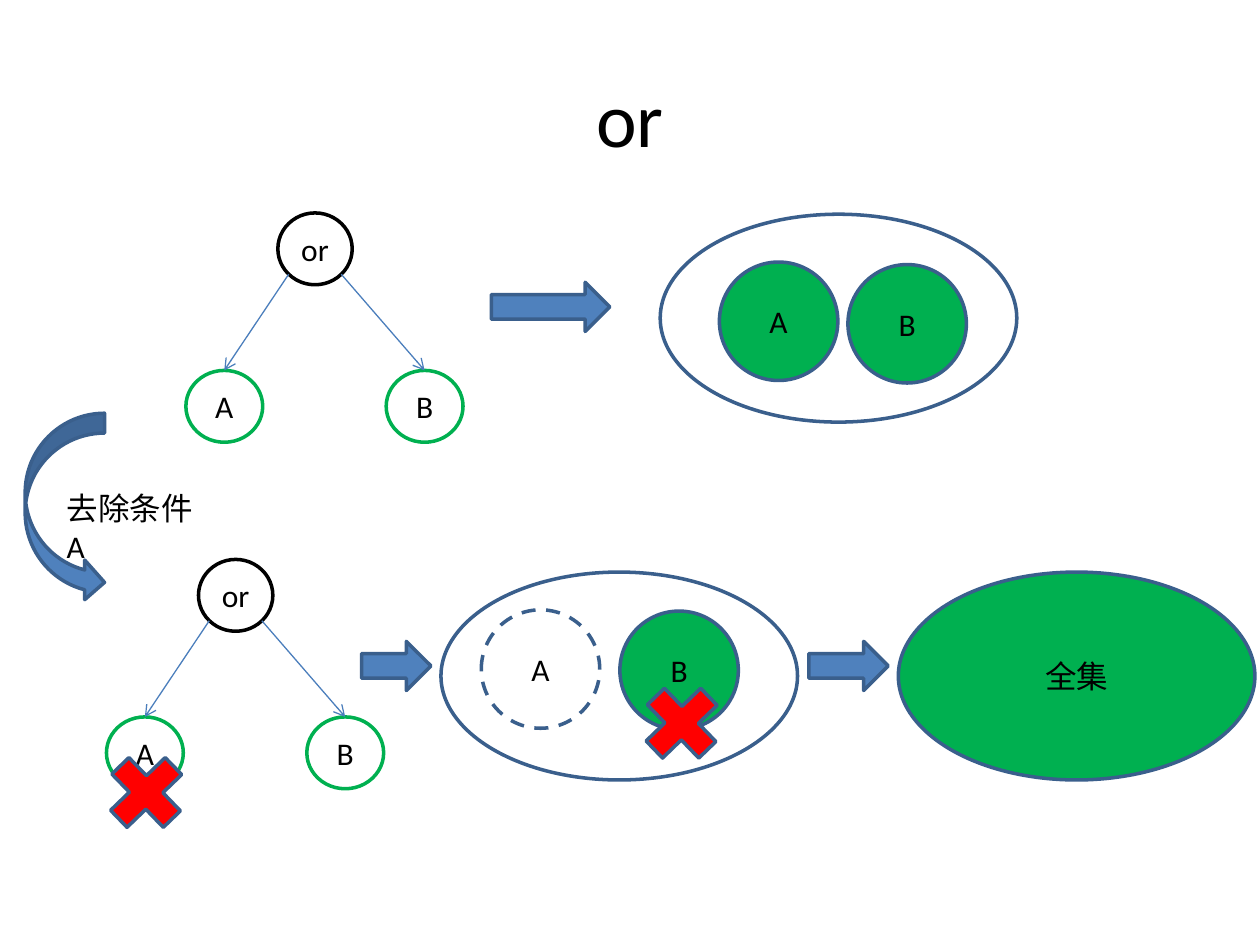
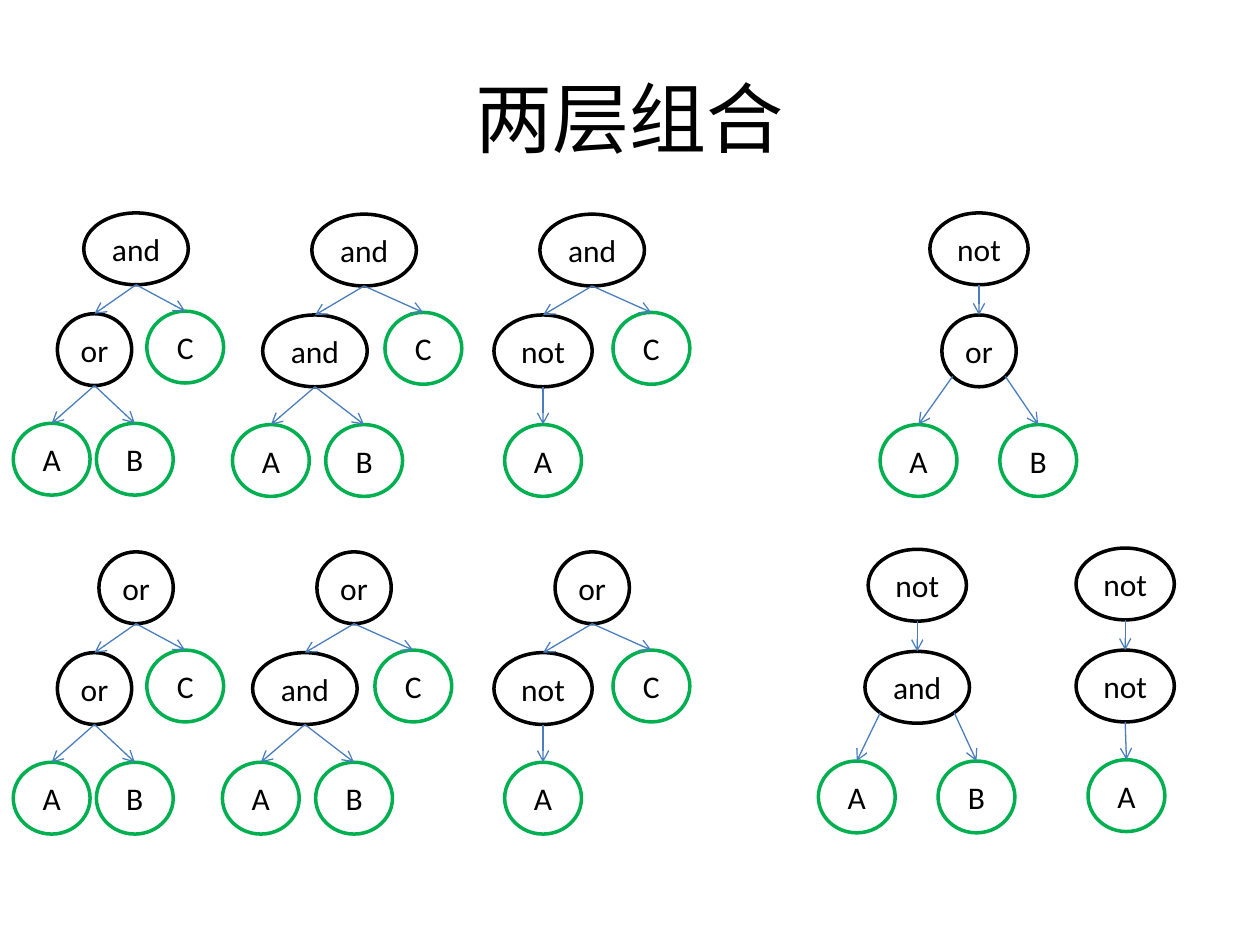
from dataclasses import dataclass
from math import sqrt
from typing import Optional

from lxml.etree import SubElement
from pptx import Presentation
from pptx.dml.color import RGBColor
from pptx.enum.dml import MSO_LINE_DASH_STYLE as Dash
from pptx.enum.shapes import MSO_CONNECTOR as Link, MSO_SHAPE as Form
from pptx.enum.text import MSO_ANCHOR as Anchor, PP_ALIGN as Align
from pptx.oxml.ns import qn
from pptx.shapes.autoshape import Shape
from pptx.slide import Slide
from pptx.text.text import TextFrame
from pptx.util import Inches, Pt

COLORS = {
    "ink": "000000",
    "green": "00B050",
    "blue": "4F81BD",
    "edge": "3A5F8C",
    "branch": "4B7EBC",
    "red": "FF0000",
}
FONT = "Calibri"
OPERATOR_WIDTHS = {"or": 0.59, "and": 0.83, "not": 0.78}
LEAF_WIDTH = 0.61
NODE_HEIGHT = 0.57


@dataclass(frozen=True)
class Node:
    label: str
    dx: float = 0
    dy: float = 0
    children: tuple["Node", ...] = ()
    splayed: bool = False


@dataclass(frozen=True)
class Figure:
    form: Form
    left: float
    top: float
    width: float
    height: float
    fill: Optional[str] = None
    line: str = "edge"
    label: str = ""
    dashed: bool = False
    rotation: float = 0


def rgb(name: str) -> RGBColor:
    return RGBColor.from_string(COLORS[name])


def write(frame: TextFrame, text: str, *, size: float = 18, color: str = "ink",
          align: Align = Align.CENTER, anchor: Anchor = Anchor.MIDDLE,
          wrap: bool = True) -> None:
    frame.word_wrap = wrap
    frame.vertical_anchor = anchor
    paragraph = frame.paragraphs[0]
    paragraph.alignment = align
    run = paragraph.add_run()
    run.text = text
    run.font.name = FONT
    run.font.size = Pt(size)
    run.font.color.rgb = rgb(color)


def draw_figure(slide: Slide, figure: Figure, wrap: bool = True) -> Shape:
    box = map(Inches, (figure.left, figure.top, figure.width, figure.height))
    shape = slide.shapes.add_shape(figure.form, *box)
    shape.shadow.inherit = False
    shape.rotation = figure.rotation
    if figure.fill:
        shape.fill.solid()
        shape.fill.fore_color.rgb = rgb(figure.fill)
    else:
        shape.fill.background()
    shape.line.color.rgb = rgb(figure.line)
    shape.line.width = Pt(2)
    if figure.dashed:
        shape.line.dash_style = Dash.DASH
    if figure.label:
        write(shape.text_frame, figure.label, wrap=wrap)
    return shape


def draw_branch(slide: Slide, x: float, y: float, child: Shape) -> None:
    start = Inches(x), Inches(y)
    branch = slide.shapes.add_connector(Link.STRAIGHT, *start, *start)
    branch.end_connect(child, 0)
    branch.line.color.rgb = rgb("branch")
    branch.line.width = Pt(0.75)
    SubElement(branch.line._get_or_add_ln(), qn("a:tailEnd"), type="arrow")
    SubElement(branch._element.spPr, qn("a:effectLst"))


def draw_tree(slide: Slide, node: Node, x: float, top: float) -> Shape:
    width = OPERATOR_WIDTHS.get(node.label, LEAF_WIDTH)
    line = "ink" if node.label in OPERATOR_WIDTHS else "green"
    oval = draw_figure(slide, Figure(Form.OVAL, x - width / 2, top, width, NODE_HEIGHT,
                                     line=line, label=node.label), wrap=False)
    for child in node.children:
        child_oval = draw_tree(slide, child, x + child.dx, top + child.dy)
        start_x, start_y = x, top + NODE_HEIGHT
        if node.splayed:
            side = 1 if child.dx > 0 else -1
            start_x += side * width / 2 / sqrt(2)
            start_y = top + NODE_HEIGHT / 2 * (1 + 1 / sqrt(2))
        draw_branch(slide, start_x, start_y, child_oval)
    return oval


def add_titled_slide(deck: Presentation, title: str) -> Slide:
    slide = deck.slides.add_slide(deck.slide_layouts[5])
    heading = slide.shapes.title
    heading.left, heading.top = Inches(0.5), Inches(0.3)
    heading.width, heading.height = Inches(9), Inches(1.25)
    write(heading.text_frame, title, size=44)
    return slide


def disc(label: str, left: float, top: float, fill: Optional[str] = "green",
         dashed: bool = False) -> Figure:
    return Figure(Form.OVAL, left, top, 0.94, 0.94, fill, label=label, dashed=dashed)


def universe(left: float, top: float, fill: Optional[str] = None, label: str = "") -> Figure:
    return Figure(Form.OVAL, left, top, 2.83, 1.65, fill, label=label)


def step(left: float, top: float, width: float) -> Figure:
    return Figure(Form.RIGHT_ARROW, left, top, width, 0.39, "blue")


def cross(left: float, top: float) -> Figure:
    return Figure(Form.MATH_PLUS, left, top, 0.8, 0.82, "red", rotation=46)


def pair(left_dx: float, right_dx: float, dy: float = 0.87) -> tuple[Node, Node]:
    return Node("A", left_dx, dy), Node("B", right_dx, dy)


def binary_tree(root: str, inner: str) -> Node:
    inner_dx, c_dx = (-0.33, 0.39) if inner == "or" else (-0.39, 0.47)
    leaves = {
        "or": pair(-0.34, 0.32),
        "and": pair(-0.35, 0.39),
        "not": (Node("A", 0, 0.87),),
    }[inner]
    return Node(root, children=(Node(inner, inner_dx, 0.8, leaves),
                                Node("C", c_dx, 0.78)))


def negated_tree(inner: str) -> Node:
    leaves = (Node("A", 0.01, 0.87),) if inner == "not" else pair(-0.48, 0.47)
    return Node("not", children=(Node(inner, 0, 0.81, leaves, splayed=inner != "not"),))


def build_or_slide(deck: Presentation) -> None:
    slide = add_titled_slide(deck, "or")
    or_tree = Node("or", children=pair(-0.72, 0.87, 1.25), splayed=True)
    for x, top in ((2.5, 1.69), (1.87, 4.44)):
        draw_tree(slide, or_tree, x, top)

    for figure in (
        step(3.9, 2.24, 0.94),
        disc("A", 5.71, 2.08),
        disc("B", 6.73, 2.1),
        universe(5.24, 1.7),
        step(2.87, 5.09, 0.55),
        cross(0.76, 5.88),
        Figure(Form.CURVED_RIGHT_ARROW, 0.2, 3.28, 0.63, 1.5, "blue"),
        step(6.42, 5.09, 0.63),
        disc("A", 3.82, 4.84, fill=None, dashed=True),
        disc("B", 4.92, 4.85),
        cross(5.01, 5.33),
        universe(3.5, 4.54),
        universe(7.13, 4.54, "green", "全集"),
    ):
        draw_figure(slide, figure)

    removal = slide.shapes.add_textbox(Inches(0.43), Inches(3.83), Inches(1.3), Inches(0.4))
    write(removal.text_frame, "去除条件A", align=Align.LEFT, anchor=Anchor.TOP)


def build_combinations_slide(deck: Presentation) -> None:
    slide = add_titled_slide(deck, "两层组合")
    for root, inner, x, top in (
        ("and", "or", 1.08, 1.69),
        ("and", "and", 2.89, 1.7),
        ("and", "not", 4.7, 1.7),
        ("or", "or", 1.08, 4.38),
        ("or", "and", 2.81, 4.38),
        ("or", "not", 4.7, 4.38),
    ):
        draw_tree(slide, binary_tree(root, inner), x, top)
    for inner, x, top in (("or", 7.77, 1.69), ("and", 7.28, 4.36), ("not", 8.93, 4.35)):
        draw_tree(slide, negated_tree(inner), x, top)


def main() -> None:
    deck = Presentation()
    deck.slide_width, deck.slide_height = Inches(10), Inches(7.5)
    build_or_slide(deck)
    build_combinations_slide(deck)
    deck.save("out.pptx")


if __name__ == "__main__":
    main()
